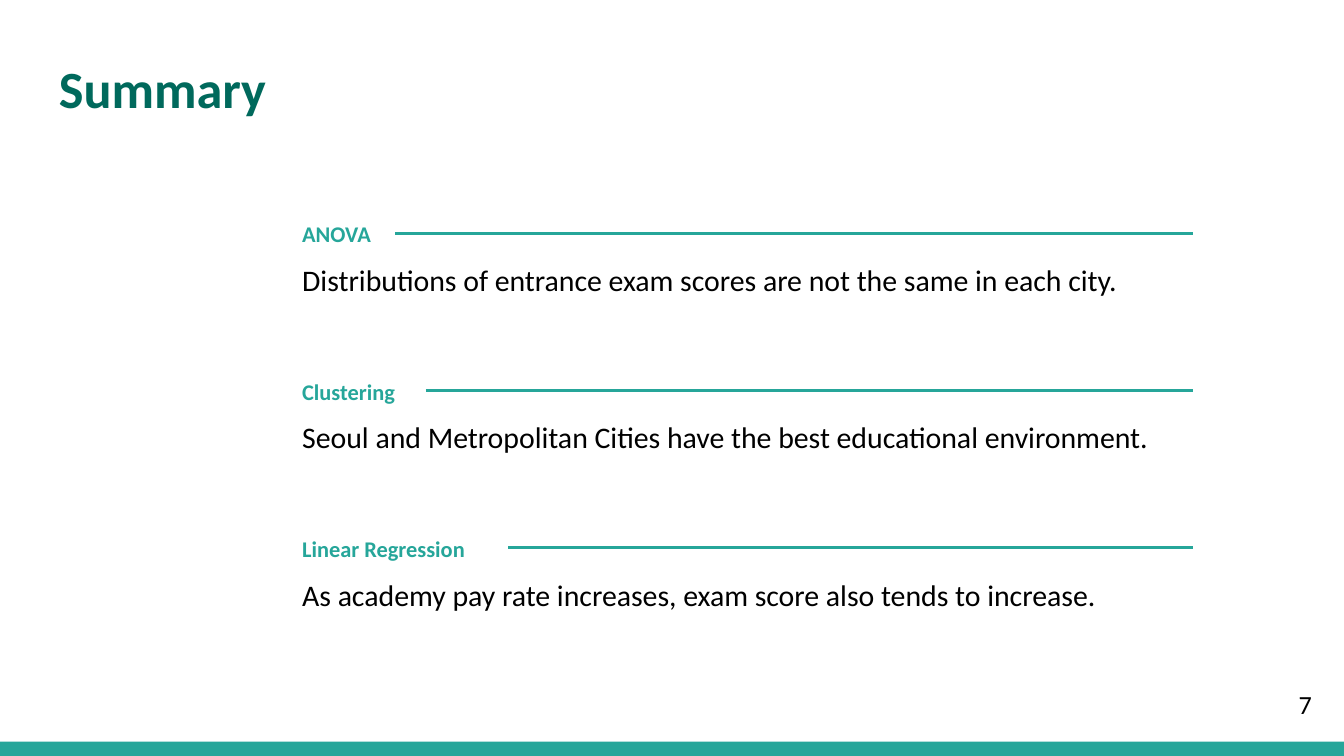
from pptx import Presentation
from pptx.dml.color import RGBColor
from pptx.enum.shapes import MSO_CONNECTOR, MSO_SHAPE
from pptx.enum.text import MSO_ANCHOR as ANCHOR, PP_ALIGN as ALIGN
from pptx.oxml.ns import qn
from pptx.util import Pt
from lxml import etree

TEAL = RGBColor(0x26, 0xA6, 0x9A)
DARK_TEAL = RGBColor(0x00, 0x69, 0x5C)
BLACK = RGBColor(0, 0, 0)
FONT = "Calibri"
WIDTH, HEIGHT = 720, 405
BAR_HEIGHT = 7.6
PITCH = 84.3

# heading, heading width, start of the rule from the left edge, finding
FINDINGS = [
    ("ANOVA", 63.4, 56.9,
     "Distributions of entrance exam scores are not the same in each city."),
    ("Clustering", 72, 73.4,
     "Seoul and Metropolitan Cities have the best educational environment."),
    ("Linear Regression", 112.3, 117.4,
     "As academy pay rate increases, exam score also tends to increase."),
]


def add_text(slide, text, x, y, w, h, size=16, color=BLACK, bold=False,
             align=ALIGN.LEFT, anchor=ANCHOR.MIDDLE):
    tf = slide.shapes.add_textbox(Pt(x), Pt(y), Pt(w), Pt(h)).text_frame
    tf.word_wrap = True
    tf.vertical_anchor = anchor
    tf.margin_left = tf.margin_right = Pt(7.2)
    tf.margin_top = tf.margin_bottom = Pt(7.2)
    p = tf.paragraphs[0]
    p.alignment = align
    r = p.add_run()
    r.text = text
    r.font.name = FONT
    r.font.size = Pt(size)
    r.font.bold = bold
    r.font.color.rgb = color


def add_rule(slide, x1, x2, y):
    line = slide.shapes.add_connector(
        MSO_CONNECTOR.STRAIGHT, Pt(x1), Pt(y), Pt(x2), Pt(y))
    line.line.color.rgb = TEAL
    line.line.width = Pt(1.5)
    etree.SubElement(line._element.spPr, qn("a:effectLst"))


def add_bottom_bar(slide, x, y, w, h):
    bar = slide.shapes.add_shape(MSO_SHAPE.RECTANGLE, Pt(x), Pt(y), Pt(w), Pt(h))
    bar.shadow.inherit = False
    bar.fill.solid()
    bar.fill.fore_color.rgb = TEAL
    bar.line.fill.background()


def add_finding(slide, x, y, w, heading, heading_w, rule_start, finding):
    """Place a heading with a rule running to the right edge, and its finding below."""
    add_text(slide, heading, x, y, heading_w, 28.8, size=12, color=TEAL, bold=True)
    add_text(slide, finding, x, y + 20.9, w + 9, 36)
    add_rule(slide, x + rule_start, x + w, y + 14)


def build_summary(prs):
    slide = prs.slides.add_slide(prs.slide_layouts[6])
    add_bottom_bar(slide, 0, HEIGHT - BAR_HEIGHT, WIDTH, BAR_HEIGHT)
    add_text(slide, "Summary", 24.5, 23, 671, 48.2, size=28, color=DARK_TEAL,
             bold=True, anchor=ANCHOR.TOP)
    for i, finding in enumerate(FINDINGS):
        add_finding(slide, 154.8, 110.9 + i * PITCH, 484.2, *finding)
    add_text(slide, "7", 658.8, 361.5, 51.1, 31, size=14, align=ALIGN.RIGHT)


def main():
    prs = Presentation()
    prs.slide_width, prs.slide_height = Pt(WIDTH), Pt(HEIGHT)
    build_summary(prs)
    prs.save("out.pptx")


if __name__ == "__main__":
    main()
